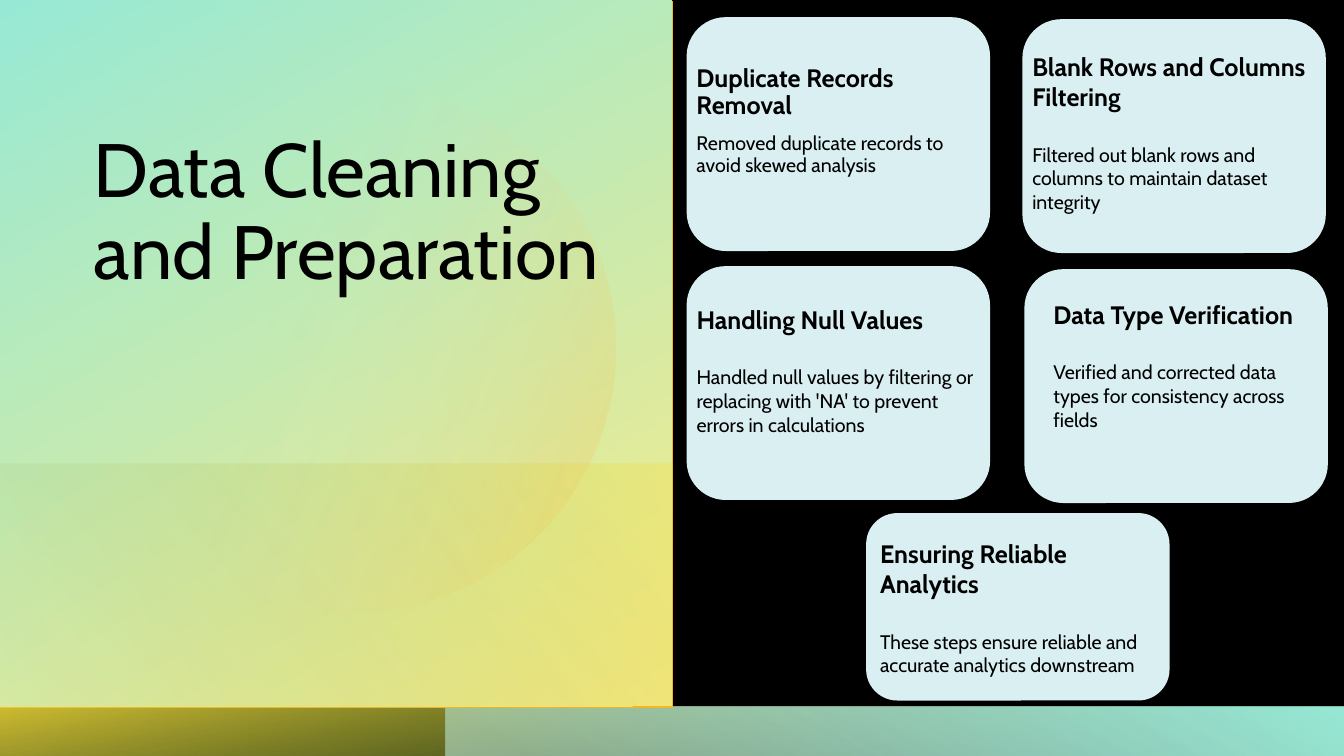
from lxml import etree
from pptx import Presentation
from pptx.dml.color import RGBColor
from pptx.enum.shapes import MSO_SHAPE
from pptx.enum.text import MSO_ANCHOR, MSO_AUTO_SIZE, PP_ALIGN
from pptx.oxml.ns import qn
from pptx.util import Inches, Pt

RECT, OVAL, ROUNDED = MSO_SHAPE.RECTANGLE, MSO_SHAPE.OVAL, MSO_SHAPE.ROUNDED_RECTANGLE
TOP, MIDDLE = MSO_ANCHOR.TOP, MSO_ANCHOR.MIDDLE
LEFT, NO_FIT = PP_ALIGN.LEFT, MSO_AUTO_SIZE.NONE
TITLE_ONLY = 5

FONT = "Cabin"
COLORS = {
    "black": "000000", "card": "D9EFF2", "olive": "608F3D", "gold": "F4DE3A",
    "mint": "C1F2E6", "teal": "97E9D5", "amber": "FCB11C", "lemon": "F8EB89",
    "pale": "DFEDD4",
}

# Shape, place, rotation, mirrored, gradient angle, stops (position, colour, opacity)
DECOR = [
    (RECT, (0, 7.01, 13.33, 0.5), 180, True, 100, [(14, "olive", 28), (100, "gold", 85)]),
    (RECT, (4.42, 7.01, 8.92, 0.5), 0, True, 240, [(9, "mint", 55), (99, "teal", 100)]),
    (RECT, (-0.17, 0.18, 7, 6.67), 90, True, 50, [(8, "amber", 100), (100, "gold", 89)]),
    (RECT, (-0.18, 0.16, 7, 6.69), 90, True, 30, [(0, "lemon", 100), (100, "teal", 100)]),
    (RECT, (2.11, 2.46, 2.42, 6.69), 90, True, 130, [(2, "gold", 28), (100, "olive", 0)]),
    (OVAL, (0.84, 0.82, 5.26, 5.26), 101.6, False, 280, [(39, "pale", 0), (100, "amber", 29)]),
]

# Card place, text place, anchor, gap in points, line spacing, heading, detail
CARDS = [
    ((6.81, 0.17, 3.01, 2.32), (6.81, 0.34, 3.13, 1.72), MIDDLE, 10, 0.9,
     "Duplicate Records Removal",
     "Removed duplicate records to avoid skewed analysis"),
    ((10.14, 0.19, 3.01, 2.32), (10.14, 0.46, 3.03, 1.72), TOP, 22, 1.0,
     "Blank Rows and Columns Filtering",
     "Filtered out blank rows and columns to maintain dataset integrity"),
    ((6.81, 2.64, 3.01, 2.32), (6.81, 2.97, 3.02, 1.41), TOP, 22, 1.0,
     "Handling Null Values",
     "Handled null values by filtering or replacing with 'NA' to prevent errors in calculations"),
    ((10.16, 2.67, 3.01, 2.32), (10.35, 2.92, 2.67, 1.41), TOP, 22, 1.0,
     "Data Type Verification",
     "Verified and corrected data types for consistency across fields"),
    ((8.59, 5.09, 3.01, 1.86), (8.63, 5.29, 3.01, 1.48), TOP, 22, 1.0,
     "Ensuring Reliable Analytics",
     "These steps ensure reliable and accurate analytics downstream"),
]


def color(name):
    return RGBColor.from_string(COLORS[name])


def set_all(target, values):
    for name, value in values.items():
        setattr(target, name, value)


def add_plain_shape(page, kind, place):
    shape = page.shapes.add_shape(kind, *map(Inches, place))
    shape.shadow.inherit = False
    shape.line.fill.background()
    return shape


def set_gradient(shape, angle, stops):
    """Swap the fill for a linear gradient with see-through stops."""
    shape.fill.background()
    old_fill = shape.fill._xPr.find(qn("a:noFill"))
    gradient = etree.Element(qn("a:gradFill"), rotWithShape="1")
    stop_list = etree.SubElement(gradient, qn("a:gsLst"))
    for position, name, opacity in stops:
        stop = etree.SubElement(stop_list, qn("a:gs"), pos=str(position * 1000))
        tint = etree.SubElement(stop, qn("a:srgbClr"), val=COLORS[name])
        etree.SubElement(tint, qn("a:alpha"), val=str(opacity * 1000))
    etree.SubElement(gradient, qn("a:lin"), ang=str(angle * 60000), scaled="0")
    old_fill.getparent().replace(old_fill, gradient)


def add_decor(page, kind, place, rotation, mirrored, angle, stops):
    shape = add_plain_shape(page, kind, place)
    shape.rotation = rotation
    if mirrored:
        shape._element.spPr.find(qn("a:xfrm")).set("flipH", "1")
    set_gradient(shape, angle, stops)


def write_para(para, text, size, bold, spacing, before=0):
    set_all(para, {"alignment": LEFT, "line_spacing": spacing, "space_before": Pt(before)})
    span = para.add_run()
    span.text = text
    set_all(span.font, {"name": FONT, "size": Pt(size), "bold": bold})
    span.font.color.rgb = color("black")


def add_card(page, place):
    card = add_plain_shape(page, ROUNDED, place)
    card.fill.solid()
    card.fill.fore_color.rgb = color("card")


def add_card_text(page, place, anchor, gap, spacing, heading, detail):
    frame = page.shapes.add_textbox(*map(Inches, place)).text_frame
    set_all(frame, {"word_wrap": True, "vertical_anchor": anchor})
    write_para(frame.paragraphs[0], heading, 18, True, spacing)
    write_para(frame.add_paragraph(), detail, 14, False, spacing, gap)


def place_title(page, text):
    title = page.shapes.title
    set_all(title, {"left": Inches(0.83), "top": Inches(0.09),
                    "width": Inches(5.65), "height": Inches(4.06)})
    set_all(title.text_frame, {"word_wrap": True, "vertical_anchor": MIDDLE,
                               "auto_size": NO_FIT})
    write_para(title.text_frame.paragraphs[0], text, 54, False, 0.9)
    # Bring the title in front of the panels
    page.shapes._spTree.append(title._element)


def main():
    deck = Presentation()
    set_all(deck, {"slide_width": Inches(13.33), "slide_height": Inches(7.5)})
    page = deck.slides.add_slide(deck.slide_layouts[TITLE_ONLY])
    page.background.fill.solid()
    page.background.fill.fore_color.rgb = color("black")

    # Gradient panels and bottom strip
    for decor in DECOR:
        add_decor(page, *decor)

    # Title and cards
    place_title(page, "Data Cleaning and Preparation")
    for card_place, *content in CARDS:
        add_card(page, card_place)
        add_card_text(page, *content)

    deck.save("out.pptx")


if __name__ == "__main__":
    main()
